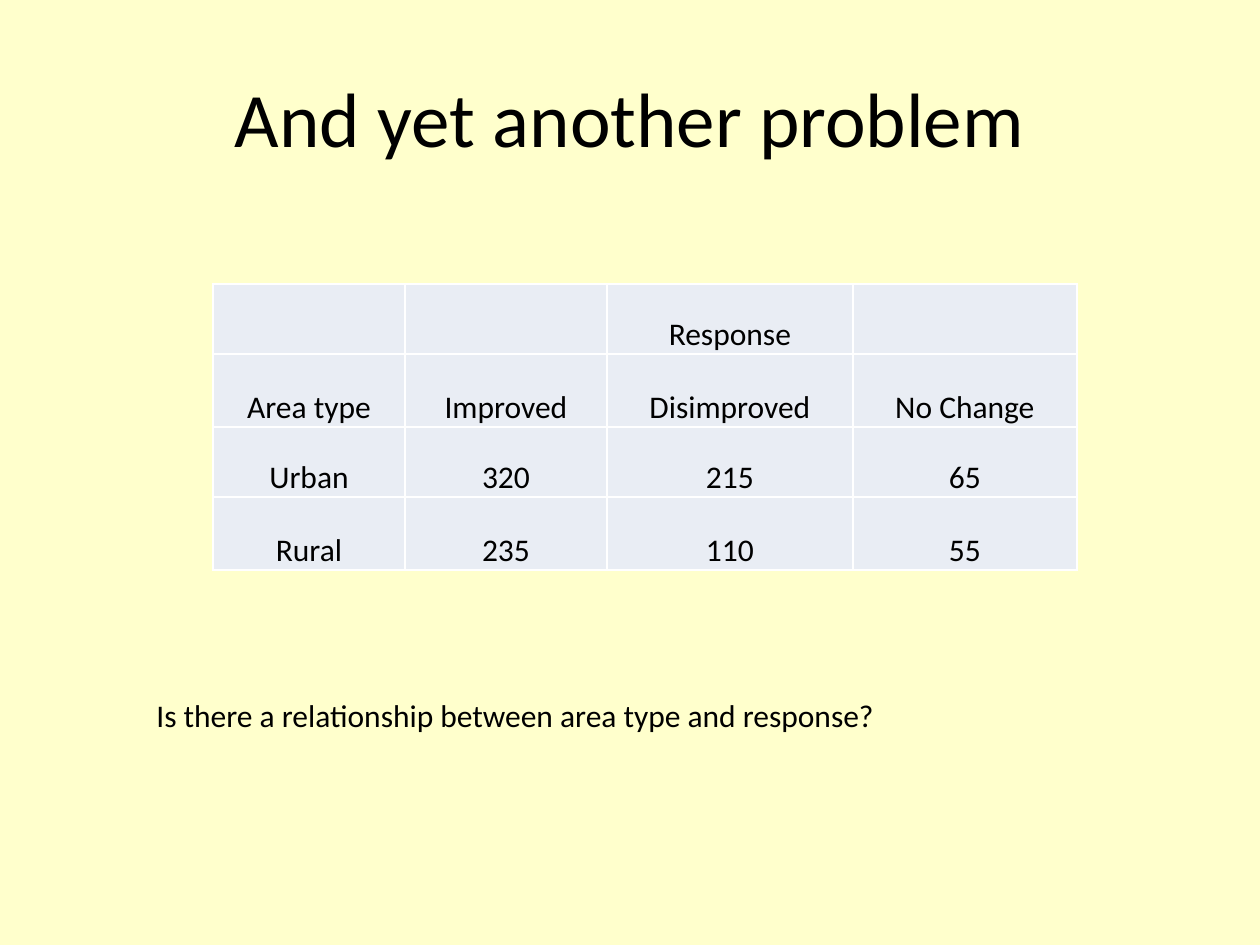
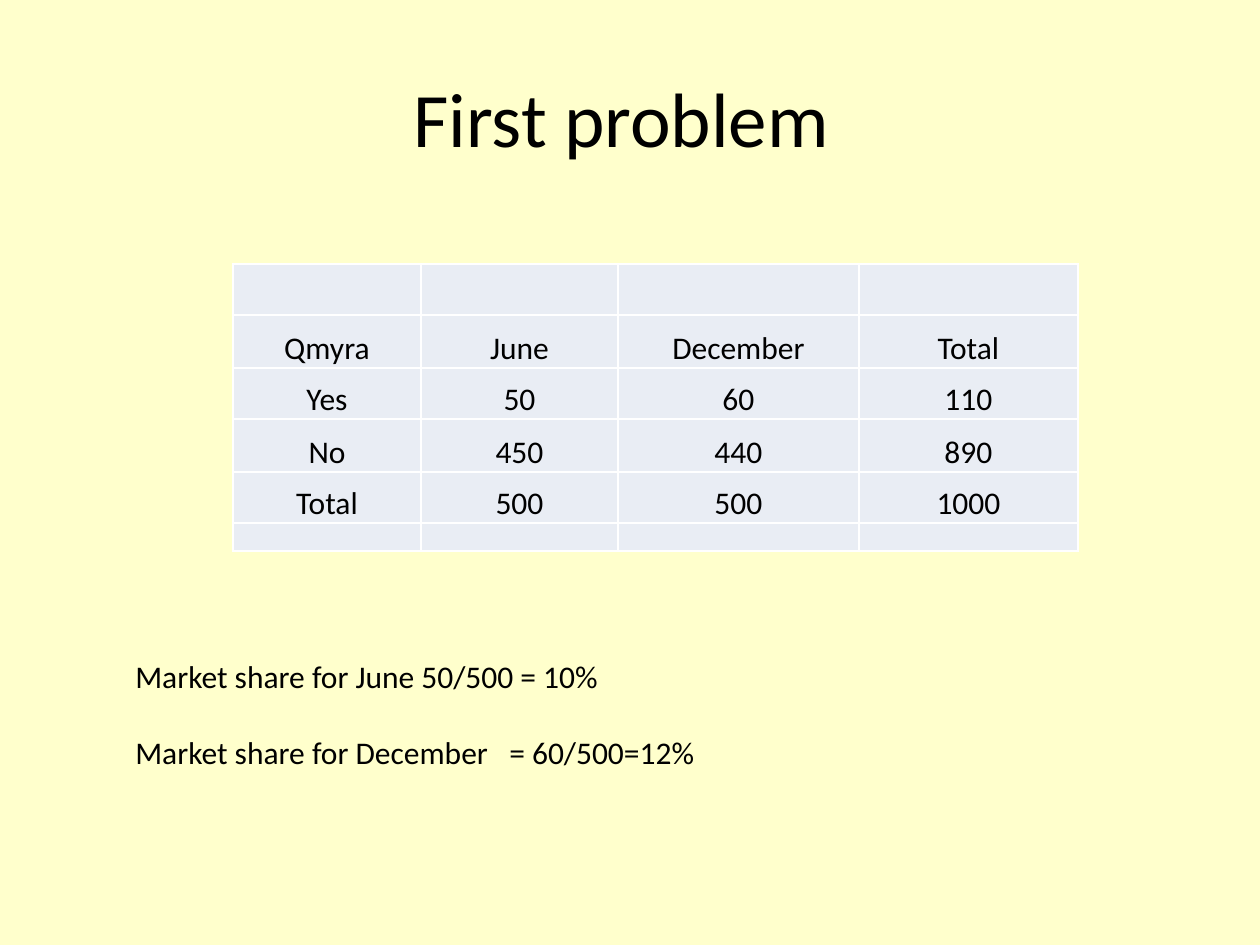
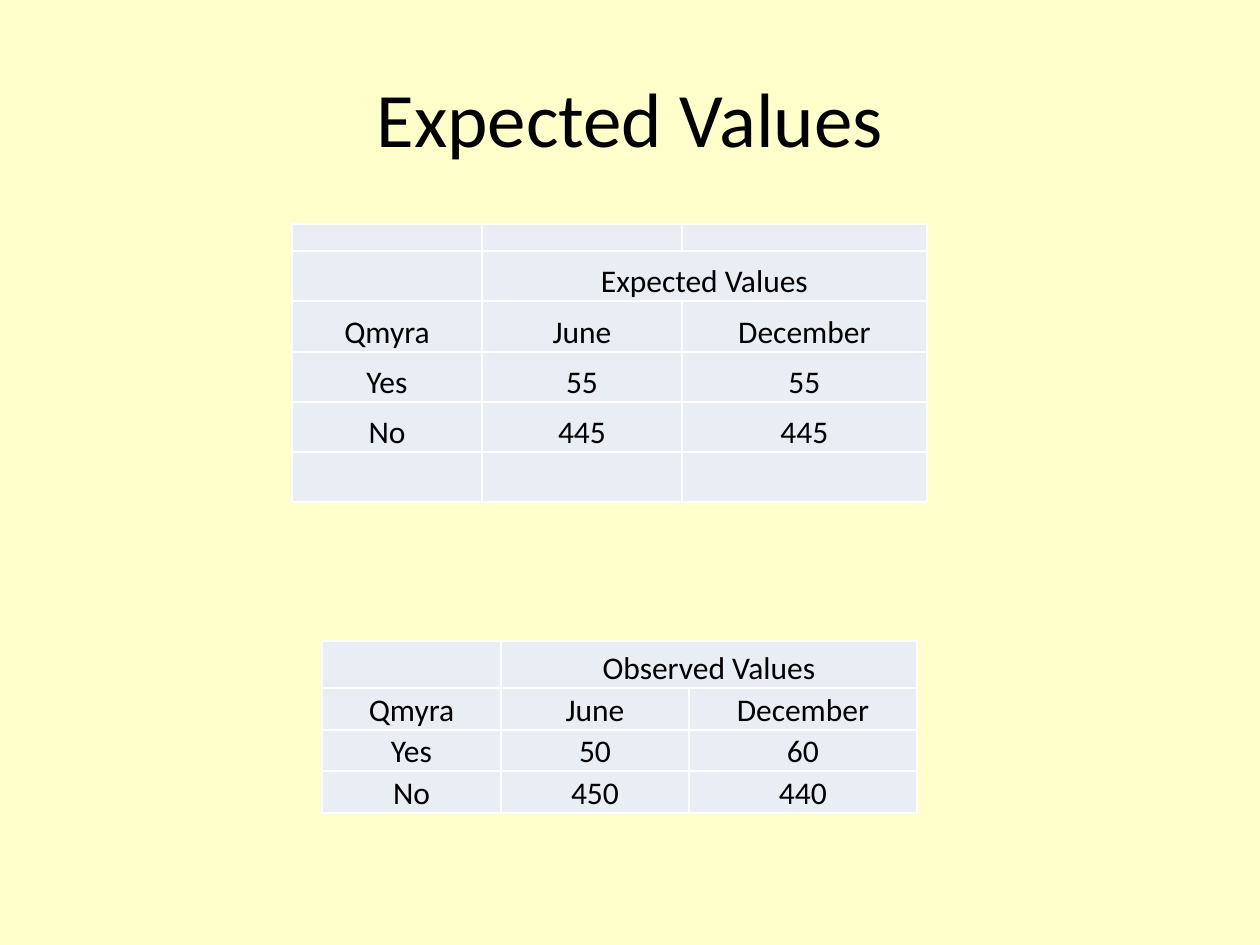
from lxml import etree
from pptx import Presentation
from pptx import util as u
from pptx.dml.color import RGBColor
from pptx.enum import text
from pptx.oxml import ns

PX = u.Inches(1) // 126
FONT = "Calibri"
BACKGROUND, CELL_FILL, GRID, INK = "FFFFCC", "E9EDF4", "FFFFFF", "000000"
TITLE_BOX = (63, 38, 1134, 157)
TITLE_SIZE, BODY_SIZE, EMPTY_SIZE = 44, 18, 8
EQUALS_TAB = 374

# An empty string is an empty cell; None continues the cell to its left.
SLIDES = [
    {
        "title": "And yet another problem",
        "tables": [{
            "at": (213, 284),
            "cols": (192, 202, 246, 224),
            "heights": (70, 73, 70, 73),
            "rows": [
                ("", "", "Response", ""),
                ("Area type", "Improved", "Disimproved", "No Change"),
                ("Urban", "320", "215", "65"),
                ("Rural", "235", "110", "55"),
            ],
        }],
        "remarks": ["Is there a relationship between area type and response?"],
        "remarks_box": (144, 690, 752, 50),
    },
    {
        "title": "First problem ",
        "tables": [{
            "at": (233, 264),
            "cols": (188, 197, 241, 219),
            "heights": (51, 53, 51, 53, 51, 28),
            "rows": [
                ("", "", "", ""),
                ("Qmyra", "June", "December", "Total"),
                ("Yes", "50", "60", "110"),
                ("No", "450", "440", "890"),
                ("Total", "500", "500", "1000"),
                ("", "", "", ""),
            ],
        }],
        "remarks": ["Market share for June 50/500 = 10%",
                    "Market share for December\t= 60/500=12%"],
        "remarks_box": (123, 651, 591, 127),
    },
    {
        "title": "Expected Values",
        "tables": [
            {
                "at": (292, 224),
                "cols": (190, 200, 245),
                "heights": (27, 50, 51, 50, 50, 50),
                "rows": [
                    ("", "", ""),
                    ("", "Expected Values", None),
                    ("Qmyra", "June", "December"),
                    ("Yes", "55", "55"),
                    ("No", "445", "445"),
                    ("", "", ""),
                ],
            },
            {
                "at": (322, 641),
                "cols": (179, 188, 228),
                "heights": (47, 42, 41, 42),
                "rows": [
                    ("", "Observed Values", None),
                    ("Qmyra", "June", "December"),
                    ("Yes", "50", "60"),
                    ("No", "450", "440"),
                ],
            },
        ],
    },
]


def px(*lengths):
    return [length * PX for length in lengths]


def color(hex_code):
    return RGBColor.from_string(hex_code)


def write(frame, lines, size=BODY_SIZE, align=text.PP_ALIGN.LEFT, gap=0):
    """Fill a text frame with one paragraph per line, gap points apart."""
    for index, line in enumerate(lines):
        paragraph = frame.paragraphs[0] if index == 0 else frame.add_paragraph()
        paragraph.alignment = align
        if index:
            paragraph.space_before = u.Pt(gap)
        run = paragraph.add_run()
        run.text = line
        run.font.name, run.font.size = FONT, u.Pt(size)
        run.font.color.rgb = color(INK)
        if "\t" in line:
            stops = etree.SubElement(paragraph._p.get_or_add_pPr(), ns.qn("a:tabLst"))
            etree.SubElement(stops, ns.qn("a:tab"), pos=str(EQUALS_TAB * PX), algn="l")


def add_text(slide, box, lines, anchor=text.MSO_ANCHOR.TOP, wrap=True, **style):
    frame = slide.shapes.add_textbox(*px(*box)).text_frame
    frame.word_wrap, frame.vertical_anchor = wrap, anchor
    write(frame, lines, **style)


def style_cell(cell):
    cell.vertical_anchor = text.MSO_ANCHOR.BOTTOM
    cell.margin_left = cell.margin_top = cell.margin_right = PX
    cell.margin_bottom = 0
    properties = cell._tc.get_or_add_tcPr()
    for side in ("lnL", "lnR", "lnT", "lnB"):
        border = etree.SubElement(properties, ns.qn(f"a:{side}"), w=str(u.Pt(1)))
        paint = etree.SubElement(border, ns.qn("a:solidFill"))
        etree.SubElement(paint, ns.qn("a:srgbClr"), val=GRID)
    cell.fill.solid()
    cell.fill.fore_color.rgb = color(CELL_FILL)


def add_counts(slide, at, cols, heights, rows):
    """Add a table of counts with its top left corner at the given point."""
    table = slide.shapes.add_table(
        len(rows), len(cols), *px(*at, sum(cols), sum(heights))).table
    table.first_row = table.horz_banding = False
    for column, width in zip(table.columns, cols):
        column.width = width * PX
    for row, height in zip(table.rows, heights):
        row.height = height * PX
    for r, entries in enumerate(rows):
        for c, entry in enumerate(entries):
            cell = table.cell(r, c)
            style_cell(cell)
            if entry:
                write(cell.text_frame, [entry], align=text.PP_ALIGN.CENTER)
            elif entry is None:
                table.cell(r, c - 1).merge(cell)
            else:
                end = cell.text_frame.paragraphs[0]._p.get_or_add_endParaRPr()
                end.set("sz", str(EMPTY_SIZE * 100))


def main():
    deck = Presentation()
    deck.slide_width, deck.slide_height = px(1260, 945)
    backdrop = deck.slide_master.background.fill
    backdrop.solid()
    backdrop.fore_color.rgb = color(BACKGROUND)
    for content in SLIDES:
        slide = deck.slides.add_slide(deck.slide_layouts[6])
        add_text(slide, TITLE_BOX, [content["title"]], size=TITLE_SIZE,
                 align=text.PP_ALIGN.CENTER, anchor=text.MSO_ANCHOR.MIDDLE)
        for counts in content["tables"]:
            add_counts(slide, **counts)
        if "remarks" in content:
            add_text(slide, content["remarks_box"], content["remarks"],
                     wrap=False, gap=22)
    deck.save("out.pptx")


if __name__ == "__main__":
    main()
